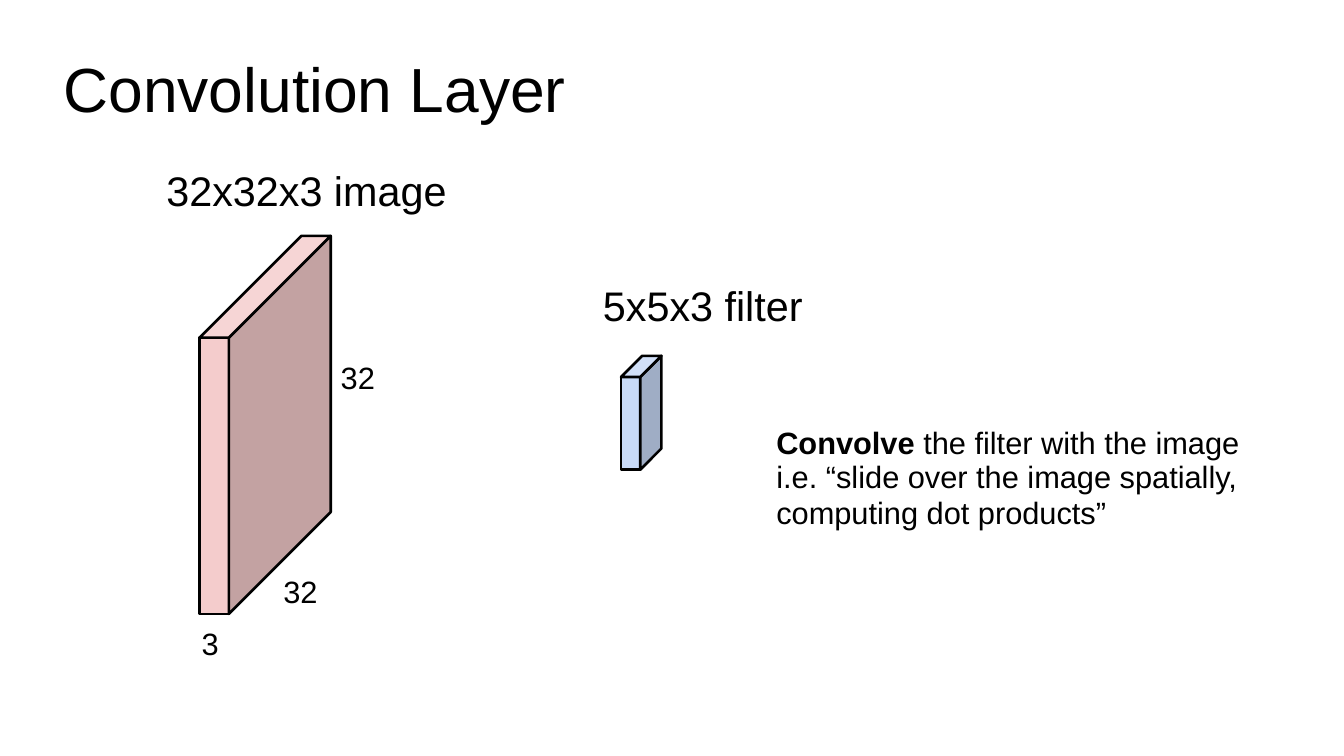
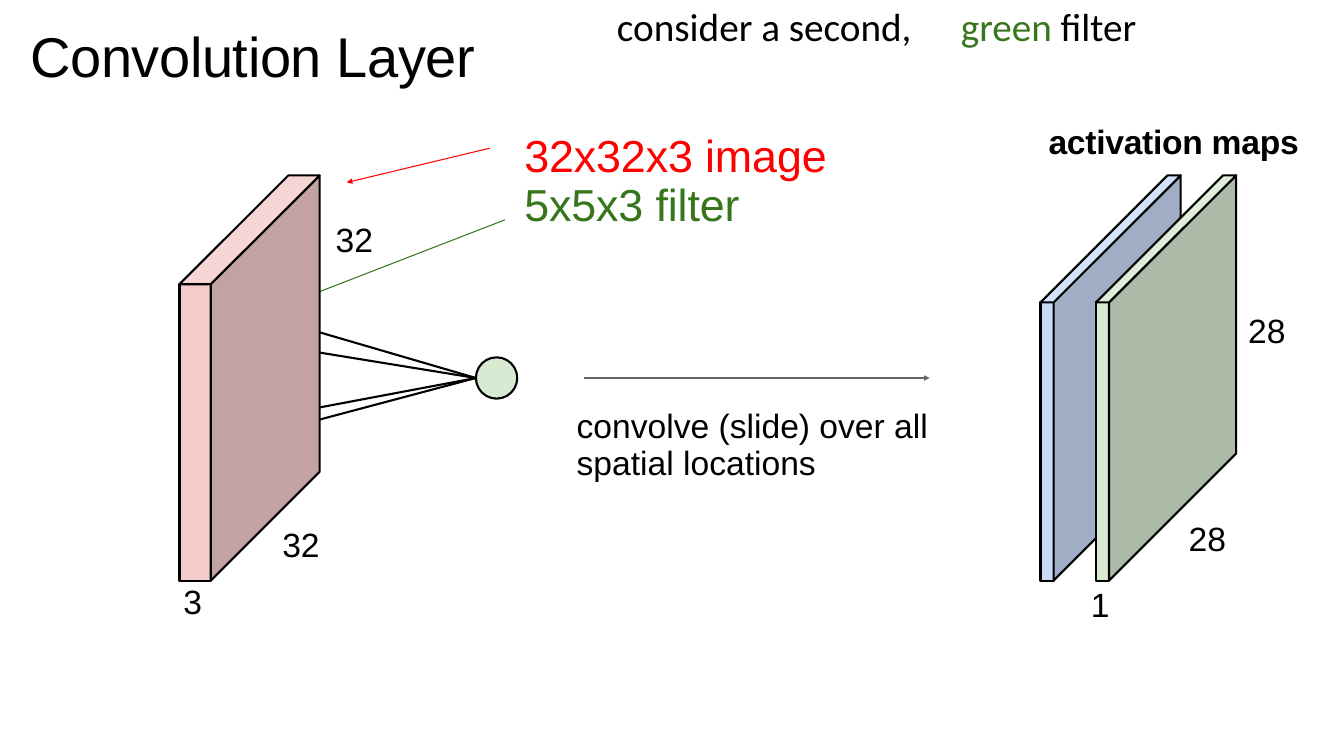
from dataclasses import dataclass, replace

from lxml import etree
from pptx import Presentation
from pptx import util as u
from pptx.dml.color import RGBColor
from pptx.enum import shapes
from pptx.oxml import ns

# Slide grid: square cells, ten to the inch
COLUMNS, ROWS = 133.3, 75


def cells(count):
    return u.Inches(count / 10)


# Theme: colours, type sizes and line widths
@dataclass(frozen=True)
class Palette:
    front: str
    side: str
    top: str


@dataclass(frozen=True)
class Style:
    size: float
    color: str = "000000"
    bold: bool = False
    font: str = "Arial"
    tracking: float = 0


@dataclass(frozen=True)
class Theme:
    ink: str = "000000"
    red: str = "FF0000"
    green: str = "37761C"
    gray: str = "666666"
    pink_slab: Palette = Palette("F4CCCC", "C3A2A2", "F6D5D5")
    blue_slab: Palette = Palette("C8DAF7", "9FADC5", "D2E0F8")
    green_slab: Palette = Palette("D9EAD2", "ACBAA8", "DFEDDB")
    large_title: Style = Style(44.5)
    title: Style = Style(40, tracking=-0.25)
    heading: Style = Style(29.5)
    body: Style = Style(22)
    key: Style = Style(32, tracking=-0.1)
    label: Style = Style(24)
    remark: Style = Style(28, font="Calibri")
    line_pitch: float = 1.1
    heavy_line: float = 1.87
    line: float = 1.5
    thin_line: float = 0.75


THEME = Theme()


# Text
def format_span(span, style):
    span.font.name = style.font
    span.font.size = u.Pt(style.size)
    span.font.bold = style.bold
    span.font.color.rgb = RGBColor.from_string(style.color)
    if style.tracking:
        span.font._element.set("spc", str(round(style.tracking * 100)))


def write(page, left, top, width, lines, *styles):
    """Write one paragraph per line; the last style serves all further lines."""
    height = len(lines) * styles[0].size * THEME.line_pitch
    box = page.shapes.add_textbox(cells(left), cells(top), cells(width), u.Pt(height))
    frame = box.text_frame
    frame.word_wrap = True
    frame.margin_left = cells(0.1)
    frame.margin_right = frame.margin_top = frame.margin_bottom = 0
    frame.text = "\n".join(lines)
    for index, para in enumerate(frame.paragraphs):
        style = styles[min(index, len(styles) - 1)]
        para.line_spacing = u.Pt(round(style.size * THEME.line_pitch, 1))
        format_span(para.runs[0], style)
    return frame.paragraphs


def add_span(para, text, style):
    span = para.add_run()
    span.text = text
    format_span(span, style)


def add_title(page, left, top, style):
    write(page, left, top, 60, ["Convolution Layer"], style)


def add_labels(page, style, labels):
    for left, top, text in labels:
        write(page, left, top, 5, [text], style)


# Drawing
def paint(shape, fill, weight):
    shape.shadow.inherit = False
    shape.fill.solid()
    shape.fill.fore_color.rgb = RGBColor.from_string(fill)
    shape.line.color.rgb = RGBColor.from_string(THEME.ink)
    shape.line.width = u.Pt(weight)


def add_face(page, corners, fill, weight):
    points = [(cells(x), cells(y)) for x, y in corners]
    builder = page.shapes.build_freeform(*points[0], scale=1.0)
    builder.add_line_segments(points[1:], close=True)
    paint(builder.convert_to_shape(), fill, weight)


def add_slab(page, left, top, width, height, depth, palette, weight):
    """Draw a box whose far edge lies up and to the right by depth."""
    right, bottom = left + width, top + depth + height
    near, back = top + depth, right + depth
    front = [(left, near), (right, near), (right, bottom), (left, bottom)]
    side = [(right, near), (back, top), (back, top + height), (right, bottom)]
    lid = [(left, near), (left + depth, top), (back, top), (right, near)]
    add_face(page, front, palette.front, weight)
    add_face(page, side, palette.side, weight)
    add_face(page, lid, palette.top, weight)


def add_line(page, start, end, color, weight, arrow=False):
    ends = [cells(value) for value in (*start, *end)]
    line = page.shapes.add_connector(shapes.MSO_CONNECTOR.STRAIGHT, *ends)
    line.line.color.rgb = RGBColor.from_string(color)
    line.line.width = u.Pt(weight)
    if arrow:
        head = etree.SubElement(line.line._get_or_add_ln(), ns.qn("a:tailEnd"))
        for name, value in (("type", "triangle"), ("w", "sm"), ("len", "sm")):
            head.set(name, value)
    etree.SubElement(line._element.spPr, ns.qn("a:effectLst"))


# Slides
def build_filter_slide(page):
    add_title(page, 6.2, 5.6, THEME.large_title)

    # Image and filter volumes
    add_slab(page, 19.8, 23.4, 2.9, 27.4, 10.1, THEME.pink_slab, THEME.heavy_line)
    add_slab(page, 61.6, 35.3, 1.9, 9.2, 2.1, THEME.blue_slab, THEME.heavy_line)
    write(page, 16.4, 16.8, 32, ["32x32x3 image"], THEME.heading)
    write(page, 59.7, 28.2, 25, ["5x5x3 filter"], THEME.heading)
    add_labels(page, THEME.body,
               [(33.7, 35.9, "32"), (28, 57.1, "32"), (19.9, 62.3, "3")])

    # Explanation
    lines = ["Convolve", "i.e. “slide over the image spatially,",
             "computing dot products”"]
    paras = write(page, 76.9, 42.3, 50, lines,
                  replace(THEME.body, bold=True), THEME.body)
    add_span(paras[0], " the filter with the image", THEME.body)
    paras[-1].space_before = u.Pt(2)


def build_maps_slide(page):
    add_title(page, 2.9, 2.7, THEME.title)
    write(page, 61.1, 0.6, 34, ["consider a second,"], THEME.remark)
    remark = write(page, 95.2, 0.6, 25, ["green"],
                   replace(THEME.remark, color=THEME.green))
    add_span(remark[0], " filter", THEME.remark)

    # Activation maps
    for left, palette in ((103.2, THEME.blue_slab), (108.7, THEME.green_slab)):
        add_slab(page, left, 17.4, 1.3, 27.6, 12.6, palette, THEME.line)
    write(page, 103.9, 12.3, 28, ["activation maps"],
          replace(THEME.label, bold=True, tracking=-0.2))

    # Neuron with its connections into the image
    neuron_left, neuron_middle, neuron_size = 47.2, 37.5, 4.1
    neuron = page.shapes.add_shape(
        shapes.MSO_SHAPE.OVAL, cells(neuron_left),
        cells(neuron_middle - neuron_size / 2), cells(neuron_size), cells(neuron_size))
    paint(neuron, THEME.green_slab.front, THEME.line)
    for start in ((25.4, 43.3), (25.7, 34), (27.7, 31.8), (28.1, 41.1)):
        add_line(page, start, (neuron_left, neuron_middle), THEME.ink, THEME.line)
    add_line(page, (50.1, 21.8), (30.5, 29.4), THEME.green, THEME.thin_line)
    add_slab(page, 17.8, 17.4, 3.1, 29.4, 10.8, THEME.pink_slab, THEME.line)

    # Key and convolution step
    add_line(page, (48.6, 14.7), (34.4, 18.1), THEME.red, THEME.thin_line, arrow=True)
    add_line(page, (57.9, neuron_middle), (92.2, neuron_middle),
             THEME.gray, THEME.thin_line, arrow=True)
    write(page, 51.9, 13.1, 34, ["32x32x3 image", "5x5x3 filter"],
          replace(THEME.key, color=THEME.red), replace(THEME.key, color=THEME.green))
    write(page, 57.1, 40.5, 39, ["convolve (slide) over all", "spatial locations"],
          THEME.label)

    # Dimensions
    add_labels(page, THEME.label,
               [(33.2, 22.1, "32"), (27.9, 52.3, "32"), (18.1, 58, "3"),
                (123.7, 31.1, "28"), (117.8, 51.7, "28"), (108.1, 58.3, "1")])


def main():
    deck = Presentation()
    deck.slide_width, deck.slide_height = cells(COLUMNS), cells(ROWS)
    blank = deck.slide_layouts[6]
    for build in (build_filter_slide, build_maps_slide):
        build(deck.slides.add_slide(blank))
    deck.save("out.pptx")


if __name__ == "__main__":
    main()
